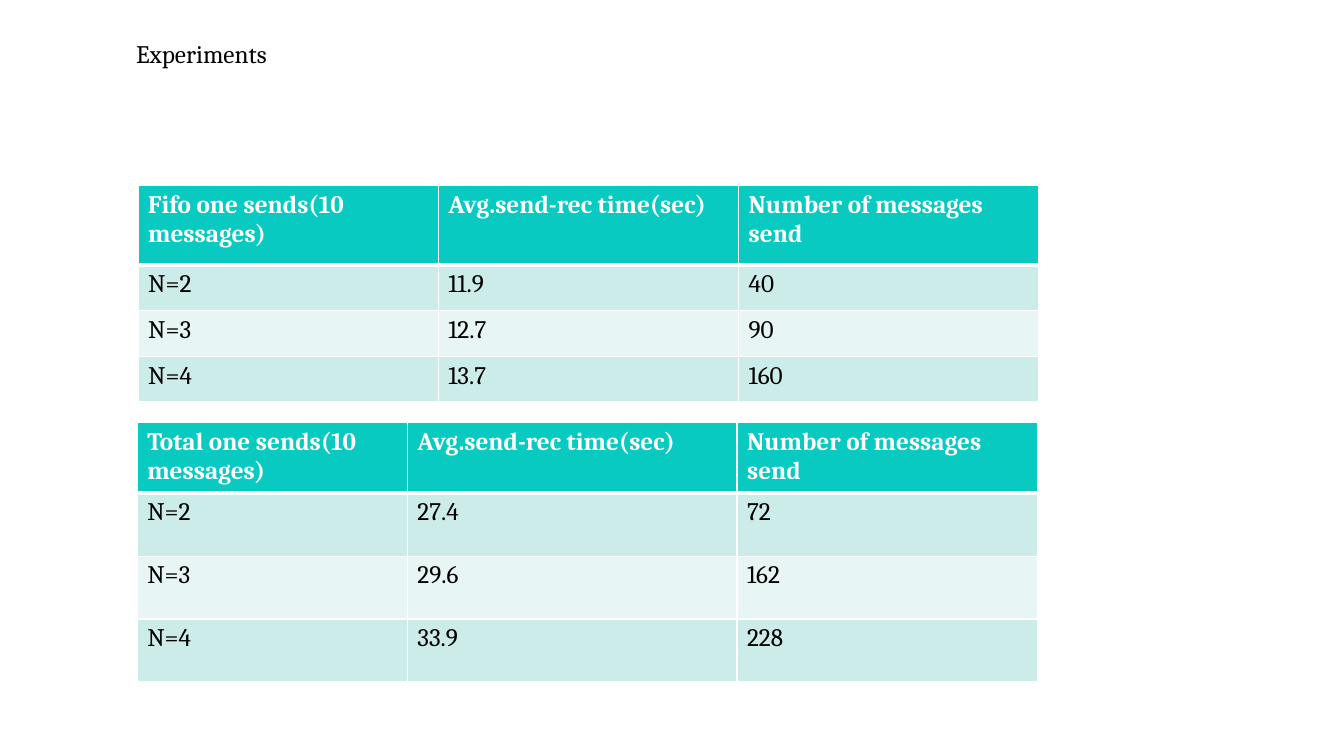
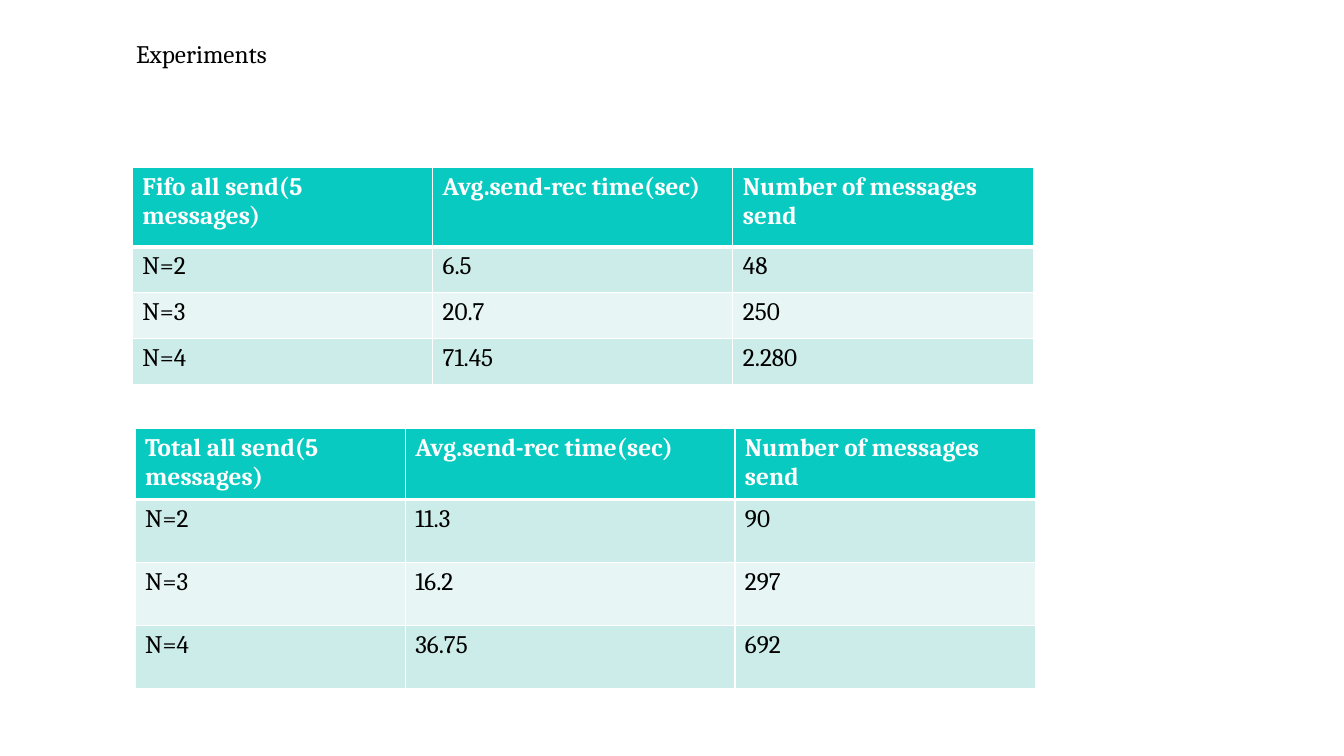
import pptx
import pptx.dml.color
import pptx.enum.text
import pptx.oxml
import pptx.oxml.ns
import pptx.util

Pt = pptx.util.Pt
RGBColor = pptx.dml.color.RGBColor

WHITE = RGBColor(0xFF, 0xFF, 0xFF)
BLACK = RGBColor(0x00, 0x00, 0x00)
TEAL = RGBColor(0x08, 0xCA, 0xC1)
BANDS = (RGBColor(0xCC, 0xEC, 0xE9), RGBColor(0xE7, 0xF6, 0xF4))
FONT = "Cambria"
TEXT_SIZE = Pt(18)
THIN, THICK = Pt(1), Pt(3)

TITLE_BOX = (90, 24, 216, 29)
TIME = "Avg.send-rec time(sec)"

# Column widths and row heights of the two kinds of table
FIFO_GRID = ((214.5, 214.5, 214.5), (56.9, 32.6, 32.6, 32.6))
TOTAL_GRID = ((193, 235.5, 214.5), (45, 45, 45, 45))

SLIDES = [
    [
        ((98.6, 132.5), FIFO_GRID, [
            ("Fifo one sends(10 messages)", TIME, "Number of messages send"),
            ("N=2", "11.9", "40"),
            ("N=3", "12.7", "90"),
            ("N=4", "13.7", "160"),
        ]),
        ((98, 301.8), TOTAL_GRID, [
            ("Total one sends(10 messages)", TIME, "Number of messages send"),
            ("N=2", "27.4", "72"),
            ("N=3", "29.6", "162"),
            ("N=4", "33.9", "228"),
        ]),
    ],
    [
        ((94.5, 119.7), FIFO_GRID, [
            ("Fifo all send(5 messages)", TIME, "Number of messages send"),
            ("N=2", "6.5", "48"),
            ("N=3", "20.7", "250"),
            ("N=4", "71.45", "2.280"),
        ]),
        ((96.5, 306.3), TOTAL_GRID, [
            ("Total all send(5 messages)", TIME, "Number of messages send"),
            ("N=2", "11.3", "90"),
            ("N=3", "16.2", "297"),
            ("N=4", "36.75", "692"),
        ]),
    ],
]


def format_text(tf, color, bold=False):
    for p in tf.paragraphs:
        p.alignment = pptx.enum.text.PP_ALIGN.LEFT
        for r in p.runs:
            r.font.name = FONT
            r.font.size = TEXT_SIZE
            r.font.bold = bold
            r.font.color.rgb = color


def set_borders(cell, top, bottom):
    """Give the cell white borders; only top and bottom vary in width."""
    tc_pr = cell._tc.get_or_add_tcPr()
    for side, width in (("L", THIN), ("R", THIN), ("T", top), ("B", bottom)):
        tc_pr.append(pptx.oxml.parse_xml(
            f'<a:ln{side} {pptx.oxml.ns.nsdecls("a")} w="{width}">'
            f'<a:solidFill><a:srgbClr val="{WHITE}"/></a:solidFill>'
            f'</a:ln{side}>'))


def add_title(slide, text, box):
    sp = slide.shapes.title
    sp.left, sp.top, sp.width, sp.height = map(Pt, box)
    tf = sp.text_frame
    tf.text = text
    tf.word_wrap = True
    tf.auto_size = pptx.enum.text.MSO_AUTO_SIZE.SHAPE_TO_FIT_TEXT
    tf.vertical_anchor = pptx.enum.text.MSO_ANCHOR.TOP
    format_text(tf, BLACK)


def add_results(slide, origin, grid, rows):
    widths, heights = grid
    box = (*origin, sum(widths), sum(heights))
    table = slide.shapes.add_table(len(rows), len(widths), *map(Pt, box)).table
    for column, width in zip(table.columns, widths):
        column.width = Pt(width)
    for i, (row, height) in enumerate(zip(table.rows, heights)):
        row.height = Pt(height)
        header = i == 0
        for cell, text in zip(row.cells, rows[i]):
            cell.text_frame.text = text
            format_text(cell.text_frame, WHITE if header else BLACK, header)
            set_borders(cell, THICK if i == 1 else THIN,
                        THICK if header else THIN)
            cell.fill.solid()
            cell.fill.fore_color.rgb = TEAL if header else BANDS[(i - 1) % 2]


def add_experiments(prs, tables):
    slide = prs.slides.add_slide(prs.slide_layouts.get_by_name("Title Only"))
    add_title(slide, "Experiments", TITLE_BOX)
    for origin, grid, rows in tables:
        add_results(slide, origin, grid, rows)


def main():
    prs = pptx.Presentation()
    prs.slide_width, prs.slide_height = Pt(960), Pt(540)
    for tables in SLIDES:
        add_experiments(prs, tables)
    prs.save("out.pptx")


if __name__ == "__main__":
    main()
